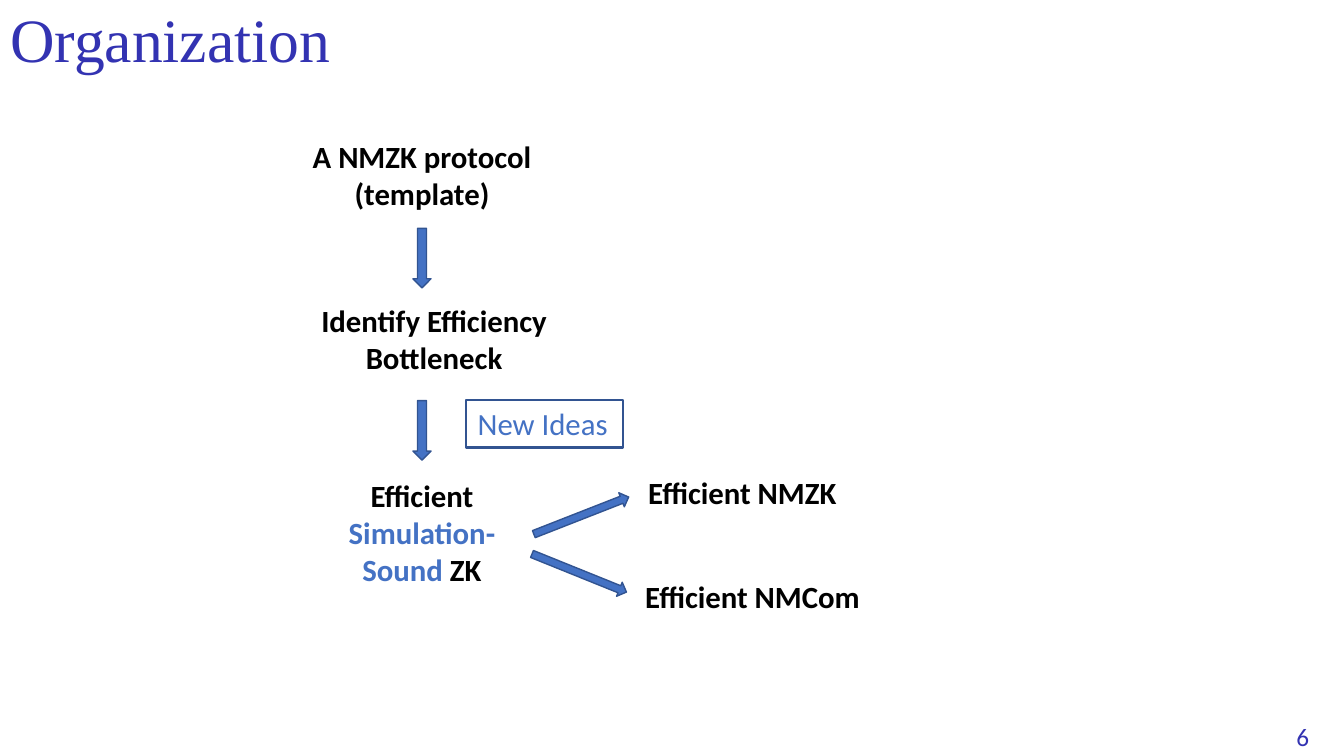
"""Build the Organization slide, a flow from a template protocol to efficient results."""
from dataclasses import dataclass

from pptx import Presentation
from pptx import util as u
from pptx.dml.color import RGBColor
from pptx.enum import shapes, text

BLACK = RGBColor(0x00, 0x00, 0x00)
BLUE = RGBColor(0x44, 0x72, 0xC4)
EDGE = RGBColor(0x32, 0x54, 0x91)
INDIGO = RGBColor(0x33, 0x33, 0xB2)
Box = tuple[float, float, float, float]
Run = tuple[str, RGBColor]


@dataclass
class Label:
    box: Box
    lines: list[list[Run]]
    size: int = 22
    bold: bool = True
    center: bool = False


@dataclass
class Arrow:
    box: Box
    turn: float


LABELS = [
    Label((2.96, 1.32, 2.45, 0.84),
          [[("A NMZK protocol", BLACK)], [("(template)", BLACK)]], center=True),
    Label((2.96, 2.94, 2.69, 1.21),
          [[("Identify Efficiency Bottleneck", BLACK)]], center=True),
    Label((3.17, 4.68, 2.03, 1.58),
          [[("Efficient ", BLACK), ("Simulation-Sound", BLUE), (" ZK", BLACK)]],
          center=True),
    Label((4.64, 3.97, 1.7, 0.47), [[("New Ideas", BLUE)]], bold=False),
    Label((6.33, 4.65, 2.33, 0.47), [[("Efficient NMZK", BLACK)]]),
    Label((6.3, 5.68, 2.53, 0.47), [[("Efficient NMCom", BLACK)]]),
    Label((12.76, 7.11, 0.57, 0.4), [[("6", INDIGO)]], size=18, bold=False),
]
ARROWS = [
    Arrow((3.89, 2.47, 0.59, 0.18), 90),
    Arrow((3.89, 4.18, 0.59, 0.18), 90),
    Arrow((5.26, 5.04, 1.01, 0.15), 338.6),
    Arrow((5.24, 5.61, 1.01, 0.15), 22),
]
FRAME: Box = (4.62, 3.97, 1.56, 0.47)


def place(box: Box) -> list[u.Length]:
    return [u.Inches(side) for side in box]


def write(frame, lines: list[list[Run]], *, font: str = "Calibri", size: int = 22,
          bold: bool = False, center: bool = False, space: float = 1.0) -> None:
    frame.word_wrap = True
    for row, line in enumerate(lines):
        para = frame.add_paragraph() if row else frame.paragraphs[0]
        para.alignment = text.PP_ALIGN.CENTER if center else text.PP_ALIGN.LEFT
        para.line_spacing = space
        for words, color in line:
            run = para.add_run()
            run.text = words
            run.font.name = font
            run.font.size = u.Pt(size)
            run.font.bold = bold
            run.font.color.rgb = color


def draw_label(slide, label: Label) -> None:
    frame = slide.shapes.add_textbox(*place(label.box)).text_frame
    write(frame, label.lines, size=label.size, bold=label.bold, center=label.center)


def draw_shape(slide, kind: shapes.MSO_SHAPE, box: Box, *, width: float,
               fill: RGBColor | None = None, turn: float = 0) -> None:
    shape = slide.shapes.add_shape(kind, *place(box))
    shape.shadow.inherit = False
    shape.rotation = turn
    shape.line.color.rgb = EDGE
    shape.line.width = u.Pt(width)
    if fill is None:
        shape.fill.background()
    else:
        shape.fill.solid()
        shape.fill.fore_color.rgb = fill


def main() -> None:
    deck = Presentation()
    deck.slide_width, deck.slide_height = u.Inches(13.33), u.Inches(7.5)
    slide = deck.slides.add_slide(deck.slide_layouts.get_by_name("Title Only"))
    title = slide.shapes.title
    title.left, title.top, title.width, title.height = place((0, 0, 11.5, 0.84))
    title.text_frame.vertical_anchor = text.MSO_ANCHOR.MIDDLE
    write(title.text_frame, [[("Organization", INDIGO)]],
          font="Times New Roman", size=44, space=0.9)
    for label in LABELS:
        draw_label(slide, label)
    for arrow in ARROWS:
        draw_shape(slide, shapes.MSO_SHAPE.RIGHT_ARROW, arrow.box,
                   width=1, fill=BLUE, turn=arrow.turn)
    draw_shape(slide, shapes.MSO_SHAPE.RECTANGLE, FRAME, width=1.5)
    deck.save("out.pptx")


if __name__ == "__main__":
    main()
